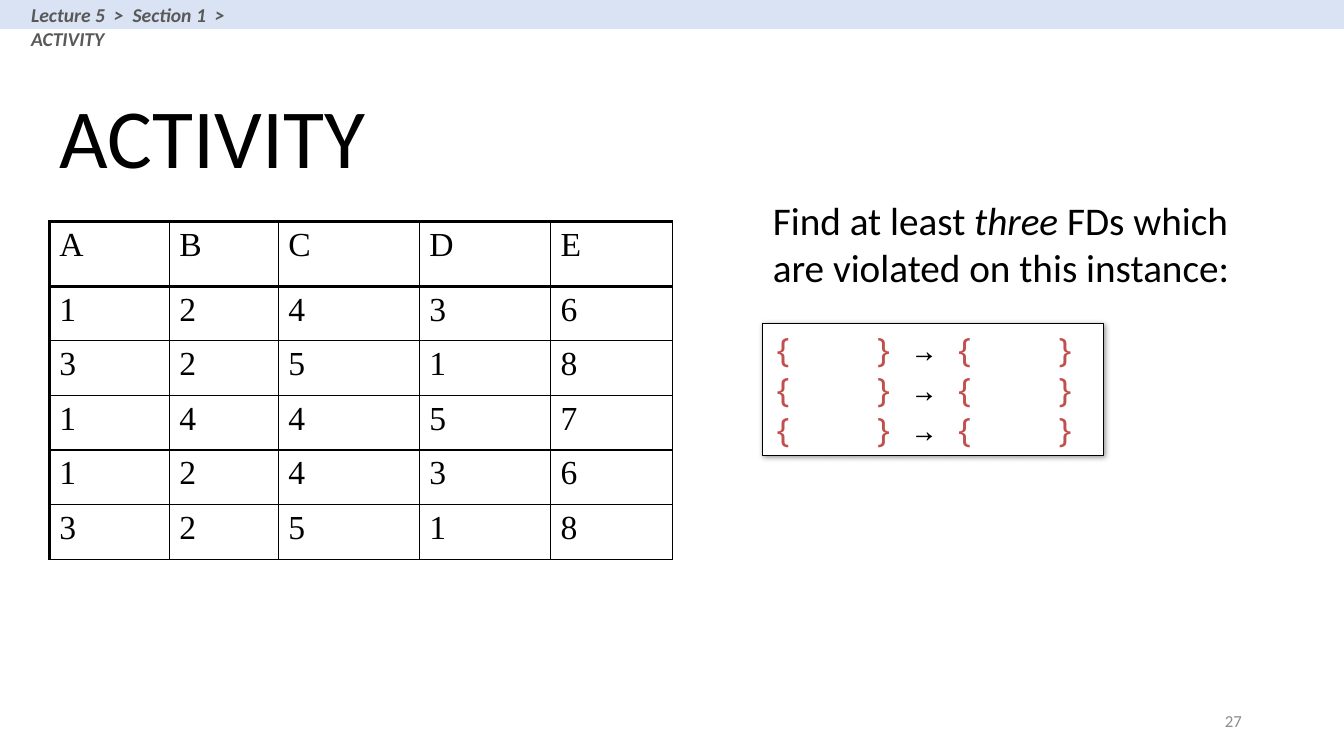
from lxml import etree
from pptx import Presentation
from pptx.dml.color import RGBColor
from pptx.enum.shapes import MSO_SHAPE
from pptx.enum.text import MSO_ANCHOR, MSO_AUTO_SIZE, PP_ALIGN
from pptx.oxml.ns import qn
from pptx.util import Pt

RECT = MSO_SHAPE.RECTANGLE
TOP, MIDDLE, BOTTOM = MSO_ANCHOR.TOP, MSO_ANCHOR.MIDDLE, MSO_ANCHOR.BOTTOM
LEFT, RIGHT = PP_ALIGN.LEFT, PP_ALIGN.RIGHT
NO_FIT = MSO_AUTO_SIZE.NONE
TITLE_ONLY = 5
BLACK, WHITE, RED = "000000", "FFFFFF", "C0504D"


def rgb(value):
    return RGBColor.from_string(value)


def add_xml(parent, tag, **attrs):
    return etree.SubElement(parent, qn(tag), {k: str(v) for k, v in attrs.items()})


class SlideBuilder:
    font, mono, serif = "Calibri", "Noto Sans Mono", "Times New Roman"

    def __init__(self, prs):
        self.slide = prs.slides.add_slide(prs.slide_layouts[TITLE_ONLY])

    def style(self, r, size, color=BLACK, font=None, bold=False, italic=False):
        f = r.font
        f.name, f.size, f.bold, f.italic = font or self.font, Pt(size), bold, italic
        f.color.rgb = rgb(color)

    def frame(self, sp, anchor):
        tf = sp.text_frame
        tf.word_wrap, tf.auto_size, tf.vertical_anchor = True, NO_FIT, anchor
        return tf

    def title(self, text, x, y, w, h, size):
        sp = self.slide.shapes.title
        sp.left, sp.top, sp.width, sp.height = Pt(x), Pt(y), Pt(w), Pt(h)
        tf = self.frame(sp, BOTTOM)
        tf.text = text
        p = tf.paragraphs[0]
        p.alignment, p.line_spacing = LEFT, 0.9
        self.style(p.runs[0], size)

    def text(self, parts, x, y, w, h, size, color=BLACK, align=LEFT, anchor=TOP):
        """Each part is a pair of text and its extra run style."""
        sp = self.slide.shapes.add_textbox(Pt(x), Pt(y), Pt(w), Pt(h))
        p = self.frame(sp, anchor).paragraphs[0]
        p.alignment = align
        for words, extra in parts:
            r = p.add_run()
            r.text = words
            self.style(r, size, color, **extra)

    def box(self, x, y, w, h, fill, line=None):
        sp = self.slide.shapes.add_shape(RECT, Pt(x), Pt(y), Pt(w), Pt(h))
        sp.shadow.inherit = False
        sp.fill.solid()
        sp.fill.fore_color.rgb = rgb(fill)
        if line:
            sp.line.color.rgb = rgb(line)
            sp.line.width = Pt(0.75)
        else:
            sp.line.fill.background()
        return sp

    def soft_shadow(self, sp):
        effects = sp._element.spPr.find(qn("a:effectLst"))
        shadow = add_xml(effects, "a:outerShdw", blurRad=Pt(4), dist=Pt(1),
                         dir=45 * 60000, algn="tl", rotWithShape=0)
        color = add_xml(shadow, "a:srgbClr", val=BLACK)
        add_xml(color, "a:alpha", val=40000)

    def blanks(self, sp, count, size, stops):
        tf = self.frame(sp, MIDDLE)
        for i in range(count):
            p = tf.add_paragraph() if i else tf.paragraphs[0]
            p.alignment, p.line_spacing = LEFT, Pt(28.6)
            tabs = add_xml(p._p.get_or_add_pPr(), "a:tabLst")
            for stop in stops:
                add_xml(tabs, "a:tab", pos=Pt(stop), algn="l")
            for words, color in (("{\t} ", RED), ("→ ", BLACK), ("{\t}", RED)):
                r = p.add_run()
                r.text = words
                self.style(r, size, color, self.mono)

    def border(self, cell, **widths):
        tc_pr = cell._tc.get_or_add_tcPr()
        for i, (side, width) in enumerate(widths.items()):
            ln = etree.Element(qn("a:ln" + side), w=str(Pt(width)))
            fill = add_xml(ln, "a:solidFill")
            add_xml(fill, "a:srgbClr", val=BLACK)
            tc_pr.insert(i, ln)

    def table(self, rows, x, y, widths, heights, size):
        table = self.slide.shapes.add_table(
            len(rows), len(widths), Pt(x), Pt(y),
            Pt(sum(widths)), Pt(sum(heights))).table
        table.first_row = table.horz_banding = False
        for col, width in zip(table.columns, widths):
            col.width = Pt(width)
        for row, height in zip(table.rows, heights):
            row.height = Pt(height)
        for i, values in enumerate(rows):
            for j, value in enumerate(values):
                cell = table.cell(i, j)
                cell.fill.background()
                cell.text_frame.text = value
                self.style(cell.text_frame.paragraphs[0].runs[0], size, font=self.serif)
                self.border(cell, L=1 if j else 2.25, R=1,
                            T=1 if i > 1 else 2.25, B=1 if i else 2.25)


def main():
    prs = Presentation()
    prs.slide_width, prs.slide_height = Pt(960), Pt(540)
    s = SlideBuilder(prs)

    # Title and page number
    s.title("ACTIVITY", 35.3, 55.4, 828, 81.4, 60)
    s.text([("27", {})], 678.2, 500.4, 216, 28.8, 12, "8C8C8C", RIGHT, MIDDLE)

    # Breadcrumb bar
    s.box(0, 0, 960, 20.9, "DAE3F3")
    s.text([("Lecture 5  >  Section 1  >  ACTIVITY", {"bold": True, "italic": True})],
           15.1, -1.4, 208, 24.5, 14, "595959")

    # Relation instance
    s.table(["ABCDE", "12436", "32518", "14457", "12436", "32518"], 35.3, 158.4,
            [85.7, 77.8, 100.8, 93.6, 87.1], [46.1] + [39] * 5, 24)

    # Task and blanks to fill in
    s.text([("Find at least ", {}), ("three", {"italic": True}),
            (" FDs which are violated on this instance:", {})],
           545, 136.8, 364.3, 74.9, 28)
    answers = s.box(545, 231.1, 243.4, 94.3, WHITE, BLACK)
    s.soft_shadow(answers)
    s.blanks(answers, 3, 24, (72, 201.6))

    prs.save("out.pptx")


if __name__ == "__main__":
    main()
